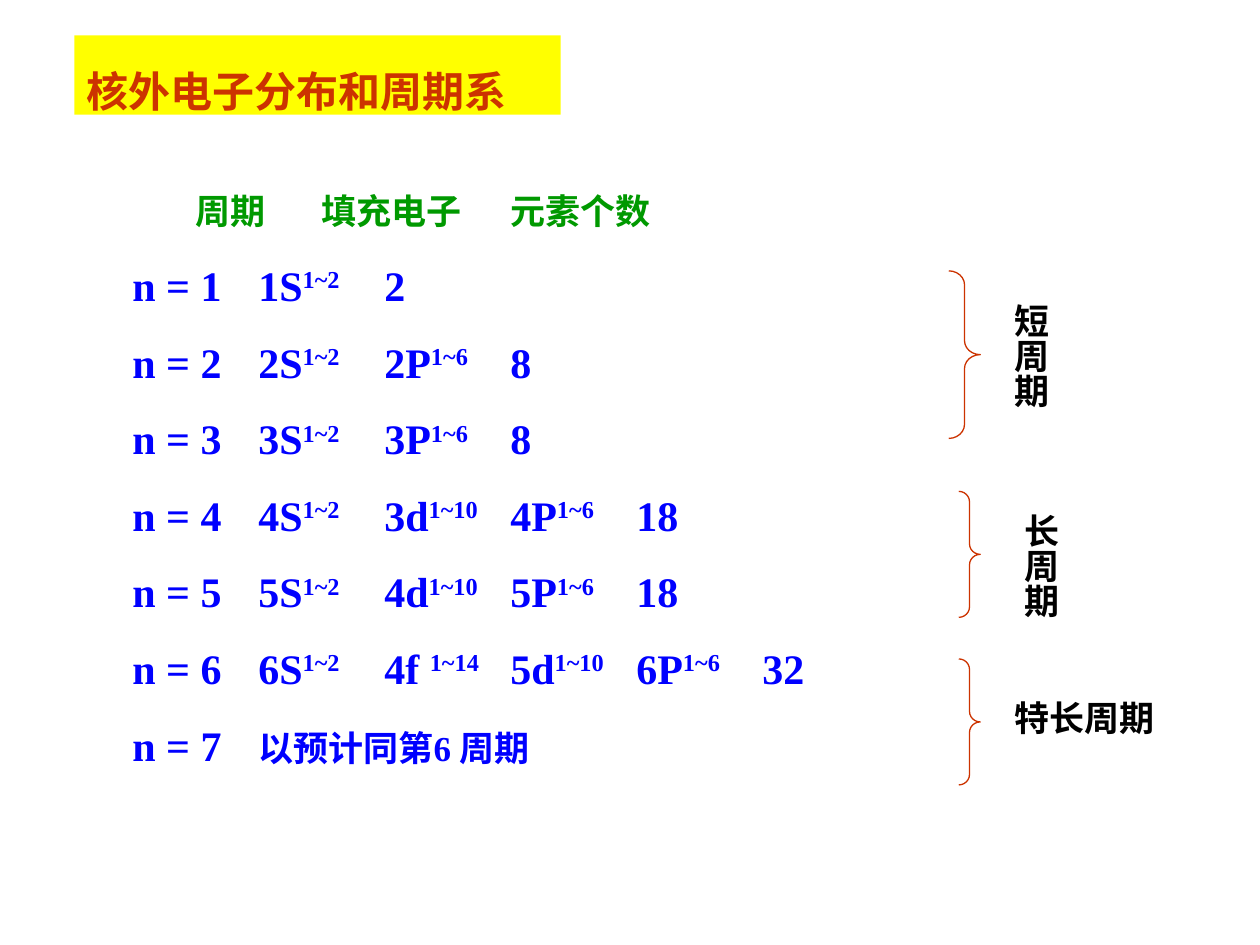
from lxml import etree
from pptx import Presentation
from pptx.dml.color import RGBColor
from pptx.enum.shapes import MSO_SHAPE
from pptx.enum.text import MSO_ANCHOR, MSO_AUTO_SIZE, PP_ALIGN
from pptx.oxml.ns import qn
from pptx.util import Inches, Pt

BRACE = MSO_SHAPE.RIGHT_BRACE
LEFT, CENTER = PP_ALIGN.LEFT, PP_ALIGN.CENTER
TOP, MIDDLE = MSO_ANCHOR.TOP, MSO_ANCHOR.MIDDLE
NO_AUTOFIT = MSO_AUTO_SIZE.NONE
RED, GREEN, BLUE, BLACK, YELLOW = "CC3300", "009900", "0000FF", "000000", "FFFF00"
FONT = "Times New Roman"
SMALL, LARGE = 20, 24

S, SECOND, THIRD, FOURTH = 1.04, 1.93, 3.0, 4.04
HEADER = [(0.12, "周期"), (1.05, "填充电子"), (5.12, "元素个数")]
PERIODS = [
    [(S, "1S^1~2"), (5.76, "2")],
    [(S, "2S^1~2"), (SECOND, "2P^1~6"), (5.68, "8")],
    [(S, "3S^1~2"), (SECOND, "3P^1~6"), (5.68, "8")],
    [(S, "4S^1~2"), (SECOND, "3d^1~10"), (THIRD, "4P^1~6"), (5.58, "18")],
    [(S, "5S^1~2"), (SECOND, "4d^1~10"), (THIRD, "5P^1~6"), (5.58, "18")],
    [(S, "6S^1~2"), (SECOND, "4f ^1~14"), (2.96, "5d^1~10"),
     (FOURTH, "6P^1~6"), (5.38, "32")],
]
LAST_PERIOD = [(1.12, "以预计同第6 周期")]
GROUPS = [
    ("短周期", (7.87, 2.31, 0.53, 1.33), (7.53, 2.15, 0.25, 1.33), True),
    ("长周期", (7.95, 3.98, 0.53, 1.08), (7.61, 3.9, 0.17, 1), True),
    ("特长周期", (7.95, 5.48, 1.42, 0.44), (7.61, 5.23, 0.17, 1), False),
]


def color(value):
    """Turn a hex string into a colour."""
    return RGBColor.from_string(value)


def place(shape, box):
    """Move and size a shape in inches."""
    shape.left, shape.top, shape.width, shape.height = map(Inches, box)


def set_frame(frame, insets, anchor):
    """Set the insets, anchor and wrapping of a text frame."""
    frame.margin_left, frame.margin_top, frame.margin_right, frame.margin_bottom = map(Inches, insets)
    frame.vertical_anchor = anchor
    frame.word_wrap = True
    frame.auto_size = NO_AUTOFIT


def add_run(paragraph, text, size, hex_color, superscript=False):
    """Add one bold run to a paragraph."""
    run = paragraph.add_run()
    run.text = text
    run.font.name = FONT
    run.font.size = Pt(size)
    run.font.bold = True
    run.font.color.rgb = color(hex_color)
    if superscript:
        run.font._element.set("baseline", "30000")


def set_tabs(paragraph, stops):
    """Remove the bullet and set left tab stops in inches."""
    properties = paragraph._p.get_or_add_pPr()
    properties.set("marL", "0")
    properties.set("indent", "0")
    etree.SubElement(properties, qn("a:buNone"))
    tab_list = etree.SubElement(properties, qn("a:tabLst"))
    for stop in stops:
        etree.SubElement(tab_list, qn("a:tab"), pos=str(Inches(stop)), algn="l")


def add_row(paragraph, label, cells, size, hex_color):
    """Write a row of tabbed cells, with superscripts after a caret."""
    paragraph.alignment = LEFT
    paragraph.space_before = Pt(15)
    set_tabs(paragraph, [stop for stop, _ in cells])
    if label:
        add_run(paragraph, label, LARGE, hex_color)
    for _, text in cells:
        base, _, exponent = text.partition("^")
        add_run(paragraph, "\t", LARGE, hex_color)
        add_run(paragraph, base, size, hex_color)
        if exponent:
            add_run(paragraph, exponent, size, hex_color, True)


def set_title(title):
    """Format the title as a yellow banner."""
    place(title, (0.59, 0.28, 3.86, 0.63))
    title.fill.solid()
    title.fill.fore_color.rgb = color(YELLOW)
    set_frame(title.text_frame, (0.1, 0.25, 0.1, 0), MIDDLE)
    paragraph = title.text_frame.paragraphs[0]
    paragraph.alignment = LEFT
    add_run(paragraph, "核外电子分布和周期系", LARGE, RED)


def set_periods(body):
    """Fill the body with the header and the seven periods."""
    place(body, (0.95, 1.4, 6.83, 4.76))
    frame = body.text_frame
    set_frame(frame, (0.1, 0.05, 0.1, 0.05), TOP)
    add_row(frame.paragraphs[0], "", HEADER, SMALL, GREEN)
    for number, cells in enumerate(PERIODS + [LAST_PERIOD], start=1):
        size = SMALL if cells is LAST_PERIOD else LARGE
        add_row(frame.add_paragraph(), f"n = {number}", cells, size, BLUE)


def add_label(shapes, text, box, vertical):
    """Add the name of a period group."""
    frame = shapes.add_textbox(*map(Inches, box)).text_frame
    set_frame(frame, (0.05, 0.1, 0.05, 0.1) if vertical else (0.1, 0.05, 0.1, 0.05), TOP)
    if vertical:
        frame._txBody.bodyPr.set("vert", "eaVert")
    paragraph = frame.paragraphs[0]
    paragraph.alignment = CENTER if vertical else LEFT
    add_run(paragraph, text, SMALL, BLACK)


def add_brace(shapes, box):
    """Add a right brace whose curves are a twelfth of its height."""
    brace = shapes.add_shape(BRACE, *map(Inches, box))
    brace.adjustments[0] = box[3] / 12 / box[2]
    brace.shadow.inherit = False
    brace.fill.background()
    brace.line.color.rgb = color(RED)
    brace.line.width = Pt(0.75)


def main():
    """Build and save the slide."""
    presentation = Presentation()
    presentation.slide_width, presentation.slide_height = Inches(10), Inches(7.5)
    slide = presentation.slides.add_slide(presentation.slide_layouts[1])
    set_title(slide.shapes.title)
    set_periods(slide.placeholders[1])
    for text, label_box, brace_box, vertical in GROUPS:
        shapes = slide.shapes.add_group_shape().shapes
        add_label(shapes, text, label_box, vertical)
        add_brace(shapes, brace_box)
    presentation.save("out.pptx")


if __name__ == "__main__":
    main()
